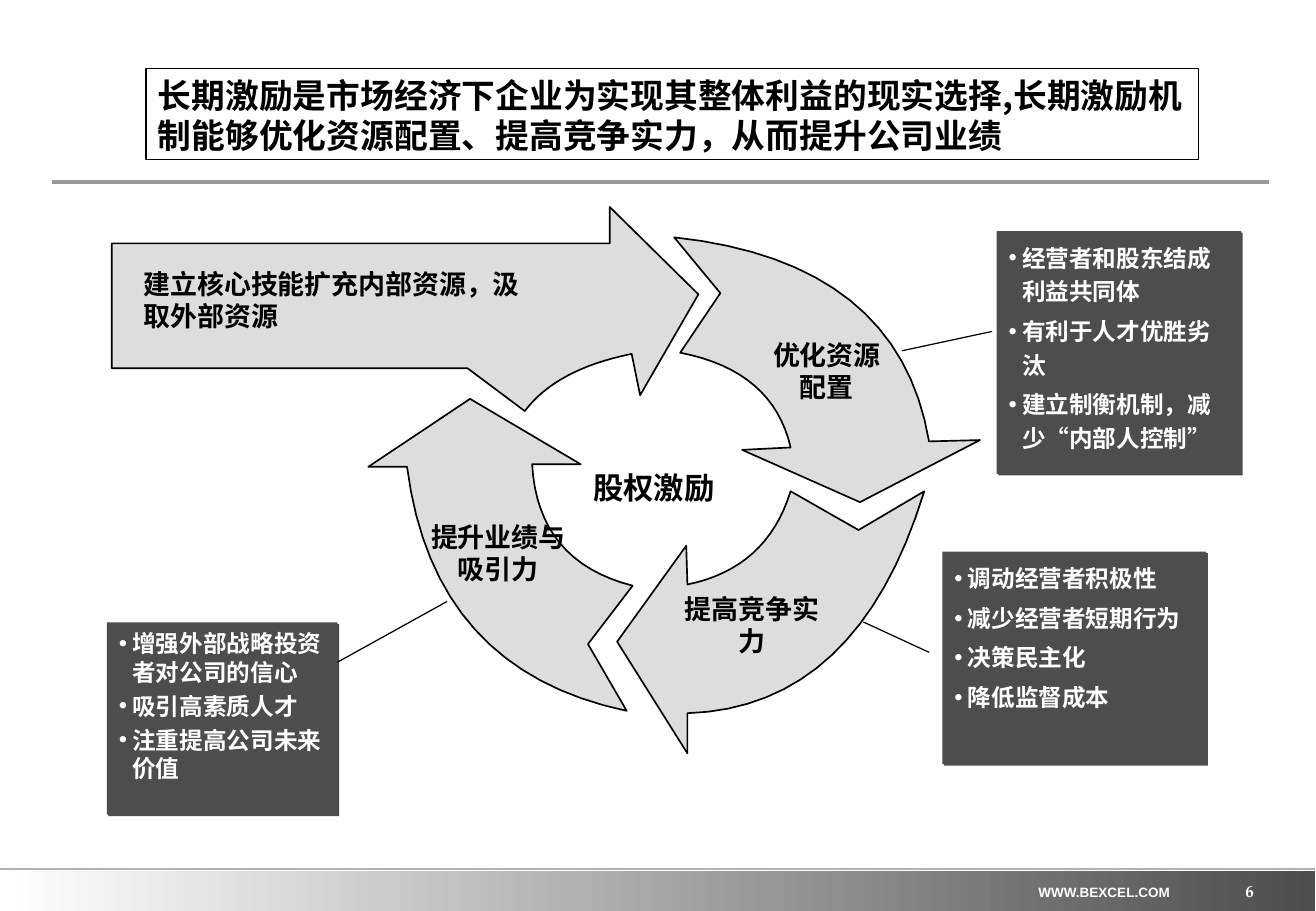
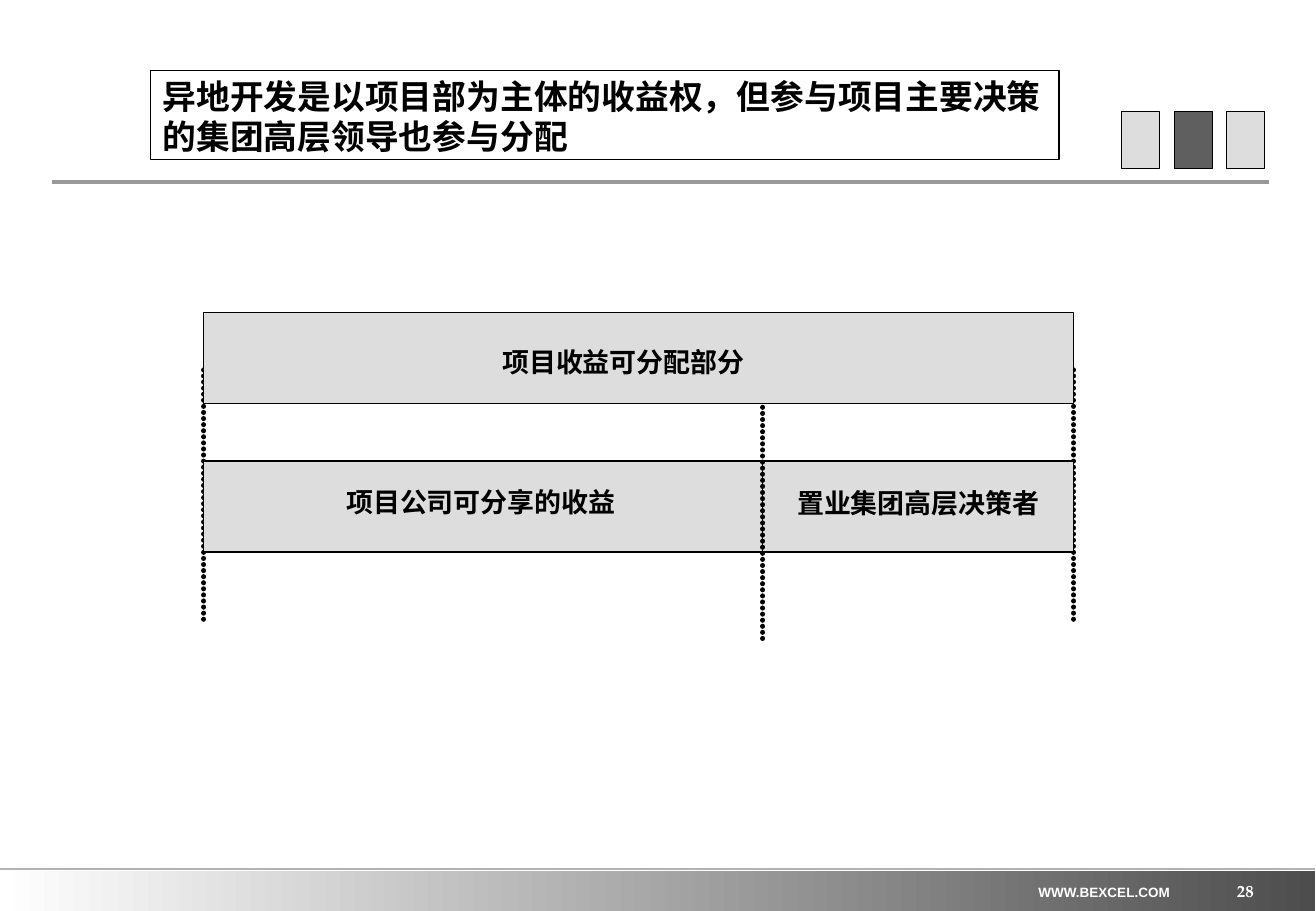
from lxml.etree import SubElement as Sub
from pptx import Presentation
from pptx.dml.color import RGBColor as Rgb
from pptx.enum.shapes import MSO_CONNECTOR as Conn, MSO_SHAPE as Kind
from pptx.enum.text import MSO_ANCHOR as Anchor, PP_ALIGN as Align
from pptx.oxml.ns import qn
from pptx.util import Pt

HUES = {
    "white": "FFFFFF", "black": "000000", "pale": "DDDDDD", "dark": "4D4D4D",
    "slate": "5F5F5F", "rule": "999999", "edge": "B2B2B2",
}
WIDE, HIGH = 780 + 5 / 8, 540 + 1 / 8
CJK = "Noto Sans CJK SC"
LEAD = 1.19
TITLE = {"size": 20, "name": CJK, "hue": "black"}
LABEL = {"size": 16, "name": "Arial", "hue": "black"}
HUB = {"size": 18, "name": "Times New Roman", "hue": "black"}
ITEM = {"size": 14, "name": "Times New Roman", "hue": "white"}
SITE = {"size": 8, "name": "Arial", "hue": "white"}
PAGE = {"size": 10, "name": "TeX Gyre Pagella", "hue": "white"}


def color(name):
    return Rgb.from_string(HUES[name])


def style(part, fmt):
    for key, val in fmt.items():
        setattr(part, key, val)


def paint(shape, fill, edge=0.75):
    shape.shadow.inherit = False
    shape.fill.solid()
    shape.fill.fore_color.rgb = color(fill)
    if edge:
        shape.line.color.rgb = color("black")
        shape.line.width = Pt(edge)
    else:
        shape.line.fill.background()


def rect(slide, box, fill, edge=0.75):
    shape = slide.shapes.add_shape(Kind.RECTANGLE, *map(Pt, box))
    paint(shape, fill, edge)
    return shape


def bullet(para):
    props = para._p.get_or_add_pPr()
    props.set("marL", str(Pt(8)))
    props.set("indent", str(-Pt(8)))
    Sub(props, qn("a:buFont")).set("typeface", "Arial")
    Sub(props, qn("a:buChar")).set("char", "•")


def write(shape, lines, font, align=Align.LEFT, anchor=Anchor.TOP,
          lead=1, gap=0, dots=False, wrap=True, inset=(7.2, 4.2, 7.2, 3.6)):
    """Fill a shape with one paragraph per line."""
    frame = shape.text_frame
    sides = ("margin_left", "margin_top", "margin_right", "margin_bottom")
    style(frame, dict(zip(sides, map(Pt, inset))))
    style(frame, {"word_wrap": wrap, "vertical_anchor": anchor})
    for num, line in enumerate(lines):
        para = frame.add_paragraph() if num else frame.paragraphs[0]
        style(para, {"alignment": align,
                     "line_spacing": Pt(round(font["size"] * LEAD * lead, 1)),
                     "space_before": Pt(gap if num else 0)})
        if dots:
            bullet(para)
        run = para.add_run()
        run.text = line
        style(run.font, {"size": Pt(font["size"]), "name": font["name"],
                         "bold": True})
        run.font.color.rgb = color(font["hue"])
        Sub(run._r.get_or_add_rPr(), qn("a:ea")).set("typeface", CJK)


def label(slide, box, text, font=LABEL, align=Align.CENTER, **more):
    shape = slide.shapes.add_textbox(*map(Pt, box))
    write(shape, [text], font, align, **more)


def rule(slide, start, end, hue="black", width=0.75, dotted=False):
    line = slide.shapes.add_connector(Conn.STRAIGHT, *map(Pt, start + end))
    line.line.color.rgb = color(hue)
    line.line.width = Pt(width)
    props = line._element.spPr
    if dotted:
        stroke = props.find(qn("a:ln"))
        stroke.set("cap", "rnd")
        dash = Sub(Sub(stroke, qn("a:custDash")), qn("a:ds"))
        dash.set("d", "100000")
        dash.set("sp", "20000")
    Sub(props, qn("a:effectLst"))


def base(deck, title, box, page):
    """Add a slide with the shared rules, footer and boxed title."""
    slide = deck.slides.add_slide(deck.slide_layouts[6])
    band = rect(slide, (0, 516.2, 780, 23.9), "white", 0)
    band.fill.gradient()
    band.fill.gradient_angle = 0
    for stop, hue, pos in zip(band.fill.gradient_stops, ("white", "dark"), (0, 1)):
        stop.color.rgb = color(hue)
        stop.position = pos
    rule(slide, (31, 108), (752.5, 108), "rule", 2.5)
    label(slide, (608.5, 520.3, 93, 17.5), "WWW.BEXCEL.COM", SITE, wrap=False)
    rule(slide, (0, 515.1), (780, 515.1), "edge", 1)
    write(rect(slide, box, "white"), [title], TITLE, anchor=Anchor.MIDDLE,
          inset=(7.2, 5.2, 7.2, 3.6))
    label(slide, (581, 510, 162.7, 24), page, PAGE, Align.RIGHT,
          anchor=Anchor.BOTTOM, inset=(0, 0, 0, 0))
    return slide


def panel(slide, box, items, lead=1.2):
    shape = rect(slide, box, "dark", 0)
    drop = Sub(shape._element.spPr.find(qn("a:effectLst")), qn("a:outerShdw"))
    for key, val in {"dist": Pt(1.4), "dir": 2700000, "algn": "tl"}.items():
        drop.set(key, str(val))
    Sub(drop, qn("a:srgbClr")).set("val", HUES["dark"])
    write(shape, items, ITEM, lead=lead, gap=3.5, dots=True)


def curve(start, mid, end, steps=16):
    """Points after start on a parabola that passes mid halfway to end."""
    bend = [2 * m - (s + e) / 2 for s, m, e in zip(start, mid, end)]
    pts = []
    for num in range(1, steps + 1):
        t = num / steps
        pts.append(tuple((1 - t) ** 2 * s + 2 * t * (1 - t) * b + t * t * e
                         for s, b, e in zip(start, bend, end)))
    return pts


def arrow(slide, left, top, marks):
    """Draw an outline; a mark of four numbers is a curve (middle, end)."""
    pts = [marks[0]]
    for mark in marks[1:]:
        pts += curve(pts[-1], mark[:2], mark[2:]) if len(mark) == 4 else [mark]
    spots = [(Pt(left + x), Pt(top + y)) for x, y in pts]
    pen = slide.shapes.build_freeform(*spots[0])
    pen.add_line_segments(spots[1:], close=True)
    paint(pen.convert_to_shape(), "pale", 1)


ARROWS = [
    [(402.7, 169), (380.4, 205.6, 341.5, 224.3), (340.8, 201.3), (299.8, 258.2),
     (341.5, 324.4), (341.5, 300.6), (427.2, 266.1, 482, 169), (443, 192)],
    [(0, 96), (211, 96), (245, 121.4), (270.2, 100.5, 308.4, 87.5),
     (313.4, 112), (348, 52.2), (295.4, 0.4), (295.4, 22), (0, 22)],
    [(443.8, 175.4), (515, 138.6), (484.8, 139.4), (438, 55.8, 333.6, 18.4),
     (361, 51.5), (337.2, 86.8), (381.1, 106.2, 402.7, 143), (373.9, 144.4)],
    [(309, 225), (265.9, 199.8, 249.4, 153), (278.2, 153), (212.6, 114.2),
     (152.2, 154.5), (175.2, 154.5), (215.5, 251, 305.5, 299.2), (282.5, 259.6)],
]
STEPS = [
    ((381, 74.5, 86.4, 46), "优化资源配置"),
    ((325, 225, 109.4, 46), "提高竞争实力"),
    ((181.4, 182.2, 95.8, 46), "提升业绩与吸引力"),
]


def cycle(slide, left, top):
    """Draw the four arrows of the ring and their labels."""
    for marks in ARROWS:
        arrow(slide, left, top, marks)
    label(slide, (left + 11.8, top + 32.5, 253.4, 46),
          "建立核心技能扩充内部资源，汲取外部资源", align=Align.LEFT)
    for (x, y, wide, high), text in STEPS:
        label(slide, (left + x, top + y, wide, high), text)
    label(slide, (left + 278.4, top + 151.6, 86.4, 29), "股权激励", HUB,
          wrap=False)


def split(slide, left, top, wide, high, share):
    """Draw the whole bar over its two parts, with dotted guides."""
    mid, low, right = left + share, top + 88, left + wide
    for x in (left, right):
        rule(slide, (x, top + 34), (x, top + 184), width=3, dotted=True)
    rect(slide, (left, low, share, high), "pale")
    label(slide, (left + 73.6, low + 10.4, 181.4, 27), "项目公司可分享的收益")
    rect(slide, (mid, low, wide - share, high), "pale")
    label(slide, (mid + 5.8, low + 11, 172.8, 27), "置业集团高层决策者")
    rule(slide, (mid, top + 45.4), (mid, top + 196), width=3, dotted=True)
    rect(slide, (left, top, wide, high), "pale")
    label(slide, (left + 10.2, top + 15.7, 477.4, 27), "项目收益可分配部分")


def tabs(slide, left, top):
    for num, hue in enumerate(("pale", "slate", "pale")):
        rect(slide, (left + 31.2 * num, top, 22.6, 34), hue)


def main():
    deck = Presentation()
    style(deck, {"slide_width": Pt(WIDE), "slide_height": Pt(HIGH)})

    slide = base(deck, "长期激励是市场经济下企业为实现其整体利益的现实选择,长期激励"
                 "机制能够优化资源配置、提高竞争实力，从而提升公司业绩",
                 (86.6, 40.4, 624.2, 54), "6")
    panel(slide, (559, 327, 156.5, 126),
          ["调动经营者积极性", "减少经营者短期行为", "决策民主化", "降低监督成本"])
    panel(slide, (63.4, 369, 136.8, 114),
          ["增强外部战略投资者对公司的信心", "吸引高素质人才",
           "注重提高公司未来价值"], 1)
    panel(slide, (591.2, 137, 145, 144),
          ["经营者和股东结成利益共同体", "有利于人才优胜劣汰",
           "建立制衡机制，减少“内部人控制”"])
    cycle(slide, 66.3, 122.3)
    for start, end in (((200.2, 392.6), (265.2, 356.6)),
                       ((551.2, 386.8), (512.2, 368.8)),
                       ((535, 208), (588.5, 196.5))):
        rule(slide, start, end)

    slide = base(deck, "异地开发是以项目部为主体的收益权，但参与项目主要决策"
                 "的集团高层领导也参与分配", (89.4, 41.8, 538.8, 52.6), "28")
    tabs(slide, 665.3, 65.9)
    split(slide, 120.9, 185.3, 516, 54, 331.6)
    deck.save("out.pptx")


if __name__ == "__main__":
    main()
